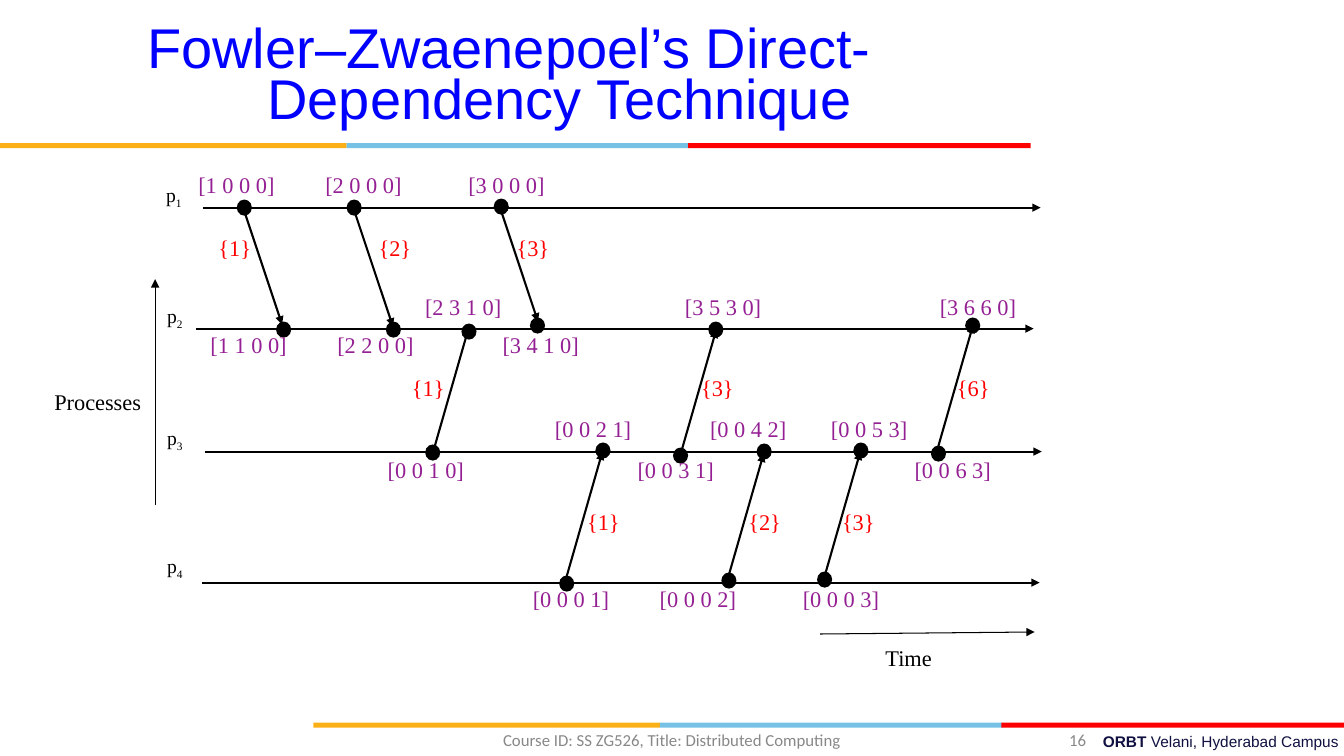
from pptx import Presentation
from pptx.dml.color import RGBColor
from pptx.enum.shapes import MSO_CONNECTOR, MSO_SHAPE
from pptx.enum.text import MSO_ANCHOR, PP_ALIGN
from pptx.oxml.ns import qn
from pptx.util import Inches, Pt
from lxml.etree import SubElement

AMBER = RGBColor(0xFC, 0xB0, 0x17)
SKY = RGBColor(0x76, 0xC2, 0xE5)
RED = RGBColor(0xFF, 0x00, 0x00)
BLUE = RGBColor(0x00, 0x00, 0xFF)
NAVY = RGBColor(0x10, 0x11, 0x41)
GREY = RGBColor(0x88, 0x88, 0x88)
BLACK = RGBColor(0x00, 0x00, 0x00)
PURPLE = RGBColor(0x94, 0x20, 0x93)

SERIF = "Times New Roman"
DOT_WIDTH, DOT_HEIGHT = 0.15, 0.16
TEXT_INSET = 0.1

# Process timelines: start x, y, label x, label y
TIMELINES = [(2.02, 2.06, 1.55, 1.77), (1.95, 3.26, 1.56, 2.97),
             (2.03, 4.48, 1.56, 4.18), (2.01, 5.78, 1.56, 5.45)]
TIMELINE_LENGTH = 8.31

# Left and top of each event dot, grouped by process
EVENTS = [
    [(2.35, 1.98), (3.44, 1.98), (4.9, 1.97)],
    [(2.74, 3.19), (3.83, 3.19), (4.58, 3.21), (5.26, 3.15), (7.03, 3.19), (9.58, 3.15)],
    [(4.22, 4.41), (5.91, 4.39), (6.68, 4.44), (7.51, 4.4), (8.47, 4.39), (9.24, 4.42)],
    [(5.55, 5.71), (7.16, 5.68), (8.11, 5.67)],
]

# Starting points of the messages; each direction has one common slope
DOWN_STEP, UP_STEP = (0.38, 1.14), (0.37, -1.29)
DOWN_MESSAGES = [(2.42, 2.08), (3.52, 2.1), (4.96, 2.05)]
UP_MESSAGES = [(4.28, 4.55), (6.74, 4.56), (9.29, 4.51),
               (5.61, 5.77), (7.21, 5.79), (8.17, 5.77)]

# Rows of labels: top, colour, then the x and text of each label
LABEL_ROWS = [
    (1.65, PURPLE, [(1.97, "[1 0 0 0]"), (3.23, "[2 0 0 0]"), (4.65, "[3 0 0 0]")]),
    (2.27, RED, [(2.17, "{1}"), (3.76, "{2}"), (5.13, "{3}")]),
    (3.24, PURPLE, [(2.09, "[1 1 0 0]"), (3.35, "[2 2 0 0]"), (4.99, "[3 4 1 0]")]),
    (2.86, PURPLE, [(4.22, "[2 3 1 0]"), (6.8, "[3 5 3 0]"), (9.33, "[3 6 6 0]")]),
    (4.48, PURPLE, [(3.85, "[0 0 1 0]"), (6.33, "[0 0 3 1]"), (9.08, "[0 0 6 3]")]),
    (4.07, PURPLE, [(5.51, "[0 0 2 1]"), (7.05, "[0 0 4 2]"), (8.25, "[0 0 5 3]")]),
    (5.76, PURPLE, [(5.29, "[0 0 0 1]"), (6.55, "[0 0 0 2]"), (7.97, "[0 0 0 3]")]),
    (3.66, RED, [(4.09, "{1}"), (6.96, "{3}"), (9.5, "{6}")]),
    (4.99, RED, [(5.83, "{1}"), (7.43, "{2}"), (8.36, "{3}")]),
]


def add_run(paragraph, text, font=SERIF, size=16, color=BLACK, bold=False, subscript=False):
    run = paragraph.add_run()
    run.text = text
    run.font.name = font
    run.font.size = Pt(size)
    run.font.color.rgb = color
    run.font.bold = bold
    if subscript:
        run.font._element.set("baseline", "-25000")


def add_text(slide, text, left, top, width, height, align=PP_ALIGN.LEFT,
             anchor=MSO_ANCHOR.TOP, inset=TEXT_INSET, **run_format):
    """Add a one-paragraph text box and return its paragraph."""
    box = slide.shapes.add_textbox(Inches(left), Inches(top), Inches(width), Inches(height))
    frame = box.text_frame
    frame.word_wrap = True
    frame.vertical_anchor = anchor
    frame.margin_left = frame.margin_right = Inches(inset)
    frame.margin_top = frame.margin_bottom = Inches(0.05)
    paragraph = frame.paragraphs[0]
    paragraph.alignment = align
    add_run(paragraph, text, **run_format)
    return paragraph


def add_filled_shape(slide, kind, left, top, width, height, color):
    shape = slide.shapes.add_shape(kind, Inches(left), Inches(top), Inches(width), Inches(height))
    shape.shadow.inherit = False
    shape.fill.solid()
    shape.fill.fore_color.rgb = color
    shape.line.fill.background()


def add_arrow(slide, start, end, weight=1.5):
    connector = slide.shapes.add_connector(
        MSO_CONNECTOR.STRAIGHT, *(Inches(value) for value in (*start, *end)))
    connector.line.color.rgb = BLACK
    connector.line.width = Pt(weight)
    SubElement(connector.line._get_or_add_ln(), qn("a:tailEnd"), type="triangle")
    SubElement(connector._element.spPr, qn("a:effectLst"))


def add_stripe(slide, left, top):
    """Add the three-coloured rule."""
    for offset, width, color in ((0, 3.44, AMBER), (3.44, 3.4, SKY), (6.83, 3.4, RED)):
        add_filled_shape(slide, MSO_SHAPE.RECTANGLE, left + offset, top, width, 0.05, color)


def add_label_row(slide, top, color, labels):
    """Add one text box whose labels are spaced by tab stops."""
    first, last = labels[0][0], labels[-1][0]
    paragraph = add_text(slide, "\t".join(text for _, text in labels),
                         first - TEXT_INSET, top, last - first + 1.2, 0.53, color=color)
    tab_list = SubElement(paragraph._p.get_or_add_pPr(), qn("a:tabLst"))
    for x, _ in labels[1:]:
        SubElement(tab_list, qn("a:tab"), pos=str(Inches(x - first)), algn="l")


def add_title(slide):
    paragraph = add_text(slide, "Fowler–Zwaenepoel’s Direct-Dependency Technique",
                         0.44, 0.17, 9.22, 1.25, align=PP_ALIGN.CENTER,
                         anchor=MSO_ANCHOR.MIDDLE, inset=0.05,
                         font="Arial", size=40, color=BLUE)
    paragraph.line_spacing = Pt(36)
    properties = paragraph._p.get_or_add_pPr()
    properties.set("marL", str(Inches(1)))
    properties.set("indent", str(Inches(-1)))


def add_footer(slide):
    campus = add_text(slide, "ORBT ", 4.78, 7.21, 8.56, 0.28, align=PP_ALIGN.RIGHT,
                      inset=0.05, font="Arial", size=11, color=NAVY, bold=True)
    add_run(campus, "Velani, Hyderabad Campus", font="Arial", size=11, color=NAVY)
    for text, left, width, align in (
            ("Course ID: SS ZG526, Title: Distributed Computing", 4.42, 4.5, PP_ALIGN.CENTER),
            ("16", 10.03, 0.8, PP_ALIGN.RIGHT)):
        add_text(slide, text, left, 7.19, width, 0.3, align=align, anchor=MSO_ANCHOR.MIDDLE,
                 inset=0.05, font="Calibri", size=12, color=GREY)


def add_diagram(slide):
    for number, (x, y, label_x, label_y) in enumerate(TIMELINES, start=1):
        add_arrow(slide, (x, y), (x + TIMELINE_LENGTH, y))
        label = add_text(slide, "p", label_x, label_y, 0.67, 0.37, size=14)
        add_run(label, str(number), size=14, subscript=True)
    for starts, (dx, dy) in ((DOWN_MESSAGES, DOWN_STEP), (UP_MESSAGES, UP_STEP)):
        for x, y in starts:
            add_arrow(slide, (x, y), (x + dx, y + dy))
    for process_events in EVENTS:
        for left, top in process_events:
            add_filled_shape(slide, MSO_SHAPE.OVAL, left, top, DOT_WIDTH, DOT_HEIGHT, BLACK)
    for row in LABEL_ROWS:
        add_label_row(slide, *row)


def add_axes(slide):
    add_arrow(slide, (8.14, 6.29), (10.27, 6.27), weight=0.75)
    add_text(slide, "Time", 8.69, 6.34, 1.09, 0.37)
    add_arrow(slide, (1.54, 5.01), (1.54, 2.77), weight=0.75)
    add_text(slide, "Processes", 0.44, 3.8, 1.25, 0.37)


def main():
    presentation = Presentation()
    presentation.slide_width = Inches(13.34)
    presentation.slide_height = Inches(7.5)
    slide = presentation.slides.add_slide(presentation.slide_layouts[6])
    add_stripe(slide, 0, 1.42)
    add_stripe(slide, 3.11, 7.17)
    add_title(slide)
    add_footer(slide)
    add_diagram(slide)
    add_axes(slide)
    presentation.save("out.pptx")


if __name__ == "__main__":
    main()
